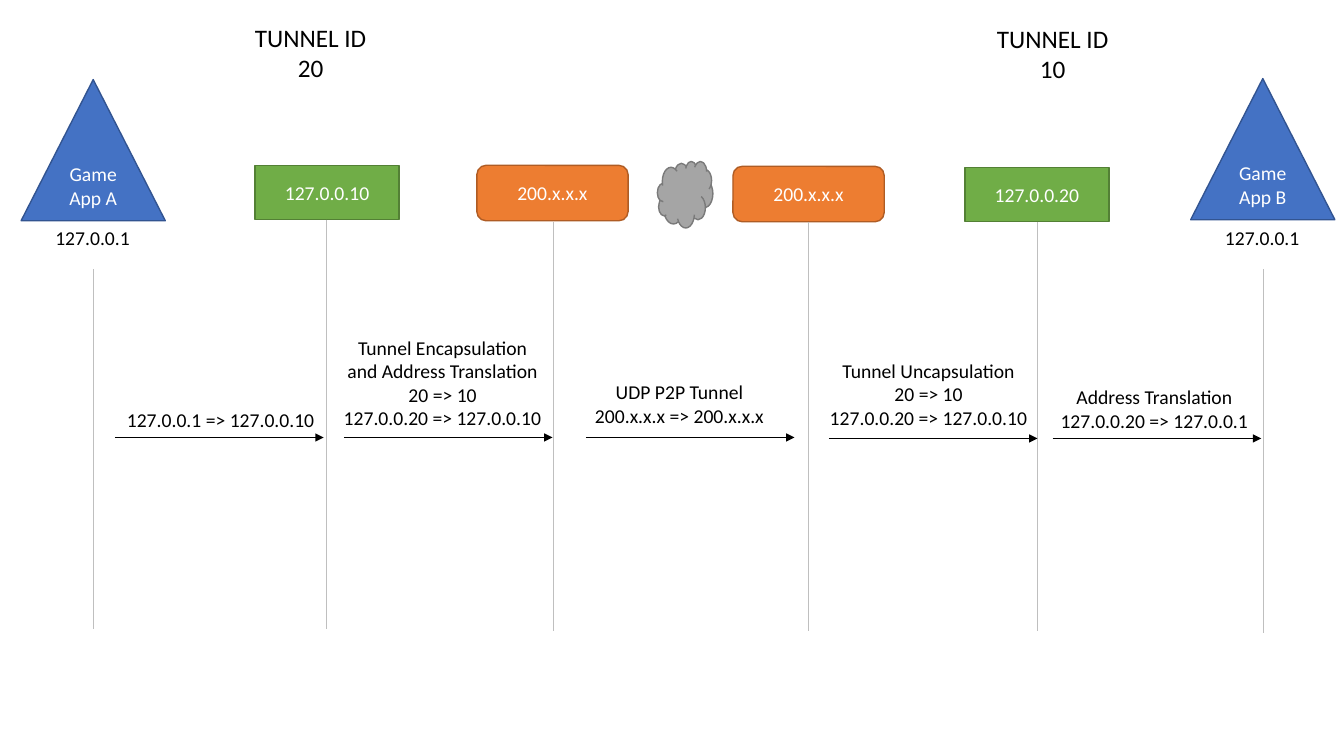
from dataclasses import dataclass

from lxml.etree import SubElement
from pptx import Presentation
from pptx.dml.color import RGBColor
from pptx.enum.shapes import MSO_CONNECTOR, MSO_SHAPE
from pptx.enum.text import MSO_ANCHOR, MSO_AUTO_SIZE, PP_ALIGN
from pptx.oxml.ns import qn
from pptx.slide import Slide
from pptx.text.text import TextFrame
from pptx.util import Inches, Pt

FONT = "Calibri"
BLACK = RGBColor(0x00, 0x00, 0x00)
WHITE = RGBColor(0xFF, 0xFF, 0xFF)
LIFELINE_GRAY = RGBColor(0xBF, 0xBF, 0xBF)


@dataclass(frozen=True)
class NodeStyle:
    preset: MSO_SHAPE
    width: float
    height: float
    fill: RGBColor
    outline: RGBColor


@dataclass(frozen=True)
class Node:
    style: NodeStyle
    left: float
    top: float
    text: str = ""


@dataclass(frozen=True)
class Label:
    left: float
    top: float
    width: float
    height: float
    text: str
    size: int = 14
    align: PP_ALIGN = PP_ALIGN.CENTER
    wrap: bool = False


@dataclass(frozen=True)
class Line:
    start: tuple[float, float]
    end: tuple[float, float]
    color: RGBColor
    arrow: bool = False


APP = NodeStyle(MSO_SHAPE.ISOSCELES_TRIANGLE, 1.43, 1.4,
                RGBColor(0x44, 0x72, 0xC4), RGBColor(0x32, 0x54, 0x91))
LOOPBACK = NodeStyle(MSO_SHAPE.RECTANGLE, 1.43, 0.54,
                     RGBColor(0x70, 0xAD, 0x47), RGBColor(0x53, 0x80, 0x35))
PUBLIC = NodeStyle(MSO_SHAPE.ROUNDED_RECTANGLE, 1.5, 0.55,
                   RGBColor(0xED, 0x7D, 0x31), RGBColor(0xAF, 0x5C, 0x24))
INTERNET = NodeStyle(MSO_SHAPE.CLOUD, 0.55, 0.66,
                     RGBColor(0xA5, 0xA5, 0xA5), RGBColor(0x7A, 0x7A, 0x7A))

NODES = [
    Node(APP, 0.21, 0.79, "Game\vApp A"),
    Node(APP, 11.81, 0.78, "Game\vApp B"),
    Node(LOOPBACK, 2.53, 1.64, "127.0.0.10"),
    Node(LOOPBACK, 9.57, 1.66, "127.0.0.20"),
    Node(PUBLIC, 4.73, 1.64, "200.x.x.x"),
    Node(PUBLIC, 7.27, 1.65, "200.x.x.x"),
    Node(INTERNET, 6.52, 1.6),
]

# Lifelines: x, top, bottom
LIFELINES = [
    (0.93, 2.67, 6.24), (3.24, 2.18, 6.24), (5.49, 2.2, 6.26),
    (8.02, 2.2, 6.26), (10.29, 2.2, 6.26), (12.53, 2.67, 6.28),
]

# Messages: arrow start x, y
ARROW_LENGTH = 2.07
MESSAGES = [(1.14, 4.34), (3.41, 4.34), (5.81, 4.34), (8.22, 4.35), (10.44, 4.35)]

LABELS = [
    Label(2.42, 0.17, 1.32, 0.71, "TUNNEL ID\n20", size=18),
    Label(9.78, 0.18, 1.32, 0.71, "TUNNEL ID\n10", size=18),
    Label(0.45, 2.19, 0.95, 0.34, "127.0.0.1", align=PP_ALIGN.LEFT),
    Label(12.05, 2.19, 0.95, 0.34, "127.0.0.1", align=PP_ALIGN.LEFT),
    Label(1.16, 4, 2.08, 0.34, "127.0.0.1 => 127.0.0.10", align=PP_ALIGN.LEFT),
    Label(3.29, 3.28, 2.2, 1.04,
          "Tunnel Encapsulation and Address Translation\n20 => 10\n127.0.0.20 => 127.0.0.10",
          wrap=True),
    Label(5.79, 3.72, 1.9, 0.57, "UDP P2P Tunnel\n200.x.x.x => 200.x.x.x"),
    Label(8.12, 3.51, 2.18, 0.81,
          "Tunnel Uncapsulation\n20 => 10\n127.0.0.20 => 127.0.0.10"),
    Label(10.41, 3.77, 2.08, 0.57, "Address Translation\n127.0.0.20 => 127.0.0.1"),
]


def write_text(frame: TextFrame, text: str, size: int, color: RGBColor,
               align: PP_ALIGN) -> None:
    frame.text = text
    for para in frame.paragraphs:
        para.alignment = align
        for span in para.runs:
            span.font.name = FONT
            span.font.size = Pt(size)
            span.font.color.rgb = color


def draw_node(page: Slide, node: Node) -> None:
    style = node.style
    shape = page.shapes.add_shape(style.preset, Inches(node.left), Inches(node.top),
                                  Inches(style.width), Inches(style.height))
    shape.shadow.inherit = False
    shape.fill.solid()
    shape.fill.fore_color.rgb = style.fill
    shape.line.color.rgb = style.outline
    shape.line.width = Pt(1)
    if node.text:
        shape.text_frame.vertical_anchor = MSO_ANCHOR.MIDDLE
        write_text(shape.text_frame, node.text, 14, WHITE, PP_ALIGN.CENTER)


def draw_label(page: Slide, label: Label) -> None:
    box = page.shapes.add_textbox(Inches(label.left), Inches(label.top),
                                  Inches(label.width), Inches(label.height))
    frame = box.text_frame
    frame.word_wrap = label.wrap
    frame.auto_size = MSO_AUTO_SIZE.SHAPE_TO_FIT_TEXT
    write_text(frame, label.text, label.size, BLACK, label.align)


def draw_line(page: Slide, line: Line) -> None:
    connector = page.shapes.add_connector(
        MSO_CONNECTOR.STRAIGHT, *(Inches(value) for value in line.start + line.end))
    connector.line.color.rgb = line.color
    connector.line.width = Pt(0.5)
    properties = connector.element.spPr
    if line.arrow:
        SubElement(properties.find(qn("a:ln")), qn("a:tailEnd"), type="triangle")
    SubElement(properties, qn("a:effectLst"))


def main() -> None:
    deck = Presentation()
    deck.slide_width = Inches(13.33)
    deck.slide_height = Inches(7.5)
    page = deck.slides.add_slide(deck.slide_layouts[6])

    # Participants
    for node in NODES:
        draw_node(page, node)

    # Lifelines and messages
    for x, top, bottom in LIFELINES:
        draw_line(page, Line((x, top), (x, bottom), LIFELINE_GRAY))
    for x, y in MESSAGES:
        draw_line(page, Line((x, y), (x + ARROW_LENGTH, y), BLACK, arrow=True))

    # Captions
    for label in LABELS:
        draw_label(page, label)

    deck.save("out.pptx")


if __name__ == "__main__":
    main()
